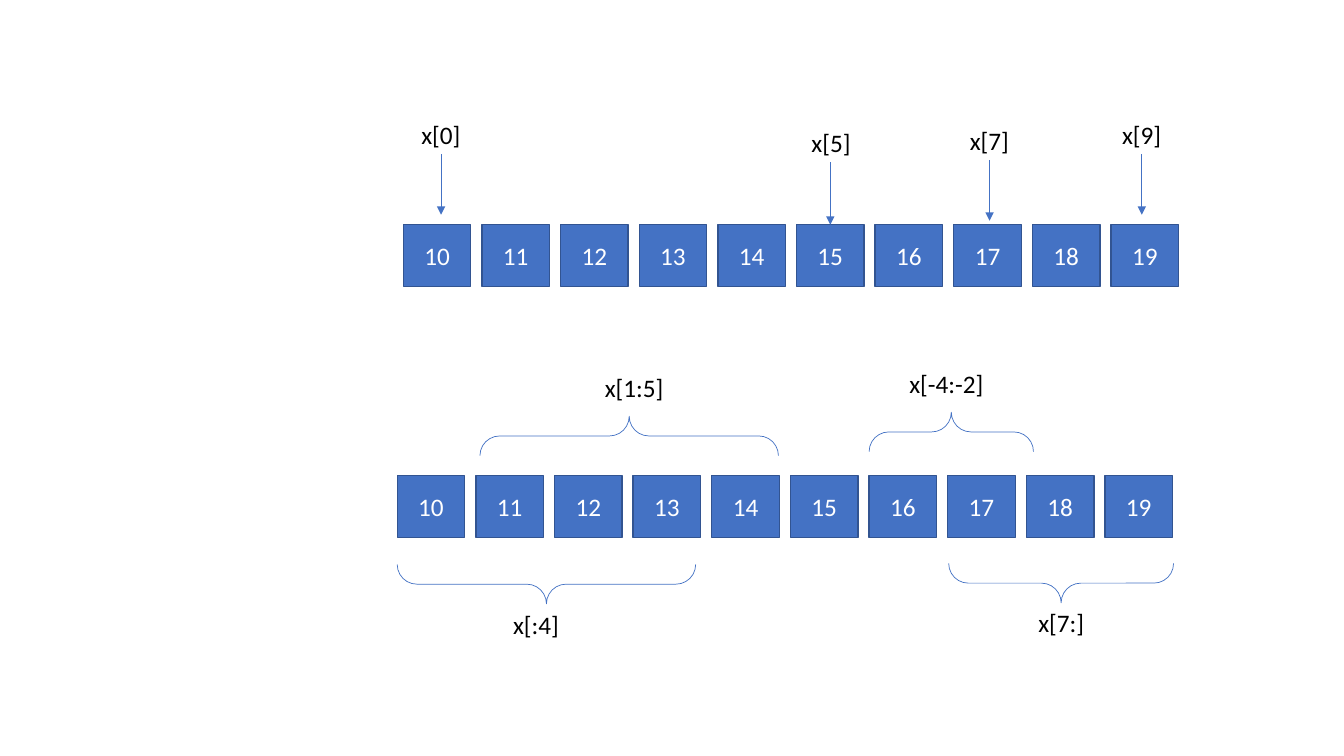
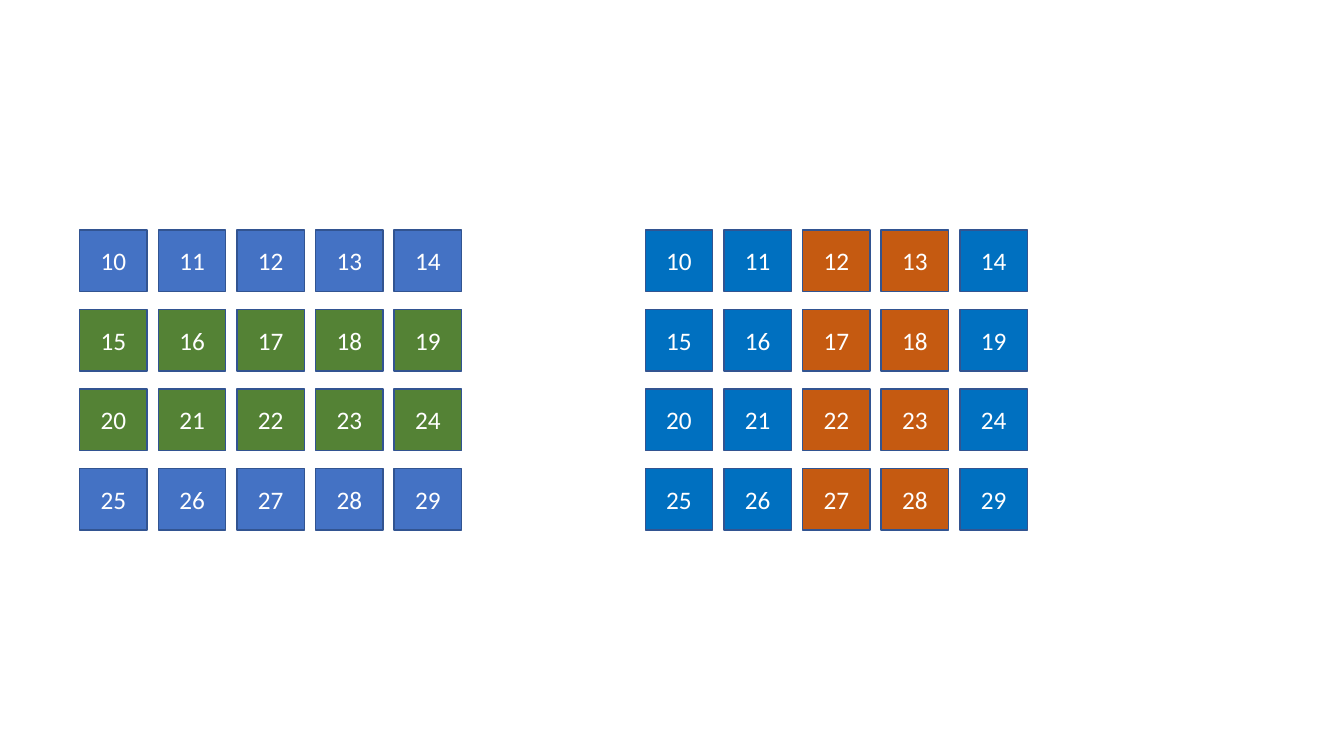
import pptx
import pptx.dml.color
import pptx.enum.shapes
import pptx.enum.text
import pptx.oxml
import pptx.oxml.ns
import pptx.util

Inches = pptx.util.Inches
Pt = pptx.util.Pt
RGBColor = pptx.dml.color.RGBColor
MSO_SHAPE = pptx.enum.shapes.MSO_SHAPE
PP_ALIGN = pptx.enum.text.PP_ALIGN
MSO_ANCHOR = pptx.enum.text.MSO_ANCHOR

BLUE = RGBColor(0x44, 0x72, 0xC4)
EDGE = RGBColor(0x32, 0x54, 0x91)
GREEN = RGBColor(0x54, 0x82, 0x35)
DEEP_BLUE = RGBColor(0x00, 0x70, 0xC0)
ORANGE = RGBColor(0xC5, 0x5A, 0x11)
WHITE = RGBColor(0xFF, 0xFF, 0xFF)
BLACK = RGBColor(0x00, 0x00, 0x00)

FONT = {"name": "Calibri", "size": Pt(18)}
CELL_W, CELL_H = 0.67, 0.61
PITCH_X, PITCH_Y = 0.78, 0.79
LABEL_H = 0.4
INDEX_W = 0.59
ARROW_LENGTH = 0.6
BRACE_DEPTH = 0.39
FIRST_VALUE = 10


def set_values(obj, values):
    for name, value in values.items():
        setattr(obj, name, value)


def set_line(line, color, width):
    line.color.rgb = color
    line.width = Pt(width)


def write(sp, text, color, align, frame):
    tf = sp.text_frame
    set_values(tf, frame)
    p = tf.paragraphs[0]
    p.alignment = align
    r = p.add_run()
    r.text = text
    set_values(r.font, FONT)
    r.font.color.rgb = color


def add_cell(s, x, y, value, fill):
    sp = s.shapes.add_shape(MSO_SHAPE.RECTANGLE, Inches(x), Inches(y),
                            Inches(CELL_W), Inches(CELL_H))
    sp.shadow.inherit = False
    sp.fill.solid()
    sp.fill.fore_color.rgb = fill
    set_line(sp.line, EDGE, 1)
    write(sp, str(value), WHITE, PP_ALIGN.CENTER,
          {"word_wrap": True, "vertical_anchor": MSO_ANCHOR.MIDDLE})
    return sp


def add_grid(s, x, y, rows, cols, fill_at):
    return [add_cell(s, x + col * PITCH_X, y + row * PITCH_Y,
                     FIRST_VALUE + row * cols + col, fill_at(row, col))
            for row in range(rows) for col in range(cols)]


def add_label(s, x, y, w, text):
    sp = s.shapes.add_textbox(Inches(x), Inches(y), Inches(w), Inches(LABEL_H))
    write(sp, text, BLACK, PP_ALIGN.LEFT, {"word_wrap": True})


def add_arrow(s, x, y, target=None):
    cx = Inches(x) if target is None else target.left + target.width // 2
    cn = s.shapes.add_connector(pptx.enum.shapes.MSO_CONNECTOR.STRAIGHT,
                                cx, Inches(y), cx, Inches(y + ARROW_LENGTH))
    if target is not None:
        cn.end_connect(target, 0)
    set_line(cn.line, BLUE, 0.5)
    ln = cn.line._get_or_add_ln()
    tail = pptx.oxml.parse_xml(
        f'<a:tailEnd {pptx.oxml.ns.nsdecls("a")} type="triangle"/>')
    ln.append(tail)
    ln.addnext(pptx.oxml.parse_xml(
        f'<a:effectLst {pptx.oxml.ns.nsdecls("a")}/>'))


def add_brace(s, x, y, span, rotation):
    shift = (span - BRACE_DEPTH) / 2
    sp = s.shapes.add_shape(MSO_SHAPE.LEFT_BRACE, Inches(x + shift), Inches(y - shift),
                            Inches(BRACE_DEPTH), Inches(span))
    sp.rotation = rotation
    sp.adjustments[0] = 0.5
    sp.shadow.inherit = False
    sp.fill.background()
    set_line(sp.line, BLUE, 0.5)


def add_index_row(s, x, y):
    cells = add_grid(s, x, y, 1, 10, lambda row, col: BLUE)
    for text, dx, dy, target in [
        ("x[0]", 0.08, -1.1, None),
        ("x[5]", 3.95, -1.02, cells[5]),
        ("x[7]", 5.52, -1.04, None),
        ("x[9]", 7.03, -1.1, None),
    ]:
        add_label(s, x + dx, y + dy, INDEX_W, text)
        add_arrow(s, x + dx + INDEX_W / 2, y + dy + LABEL_H, target)


def add_slice_row(s, x, y):
    add_grid(s, x, y, 1, 10, lambda row, col: BLUE)
    for text, dx, dy, w, brace_dx, brace_dy, span in [
        ("x[1:5]", 1.96, -1.08, 0.92, 0.82, -0.59, 2.96),
        ("x[-4:-2]", 4.98, -1.11, 1.1, 4.68, -0.63, 1.63),
        ("x[:4]", 1.05, 1.28, 0.92, 0, 0.88, 2.96),
        ("x[7:]", 6.26, 1.26, 0.8, 5.47, 0.87, 2.23),
    ]:
        add_brace(s, x + brace_dx, y + brace_dy, span, 90 if dy < 0 else 270)
        add_label(s, x + dx, y + dy, w, text)


def add_vector_slide(prs):
    s = prs.slides.add_slide(prs.slide_layouts[6])
    add_index_row(s, 4, 2.23)
    add_slice_row(s, 3.94, 4.72)


def add_matrix_slide(prs):
    s = prs.slides.add_slide(prs.slide_layouts[6])
    add_grid(s, 0.79, 2.28, 4, 5, lambda row, col: GREEN if row in (1, 2) else BLUE)
    add_grid(s, 6.4, 2.28, 4, 5, lambda row, col: ORANGE if col in (2, 3) else DEEP_BLUE)


def main():
    prs = pptx.Presentation()
    set_values(prs, {"slide_width": Inches(13.33), "slide_height": Inches(7.5)})
    add_vector_slide(prs)
    add_matrix_slide(prs)
    prs.save("out.pptx")


if __name__ == "__main__":
    main()
